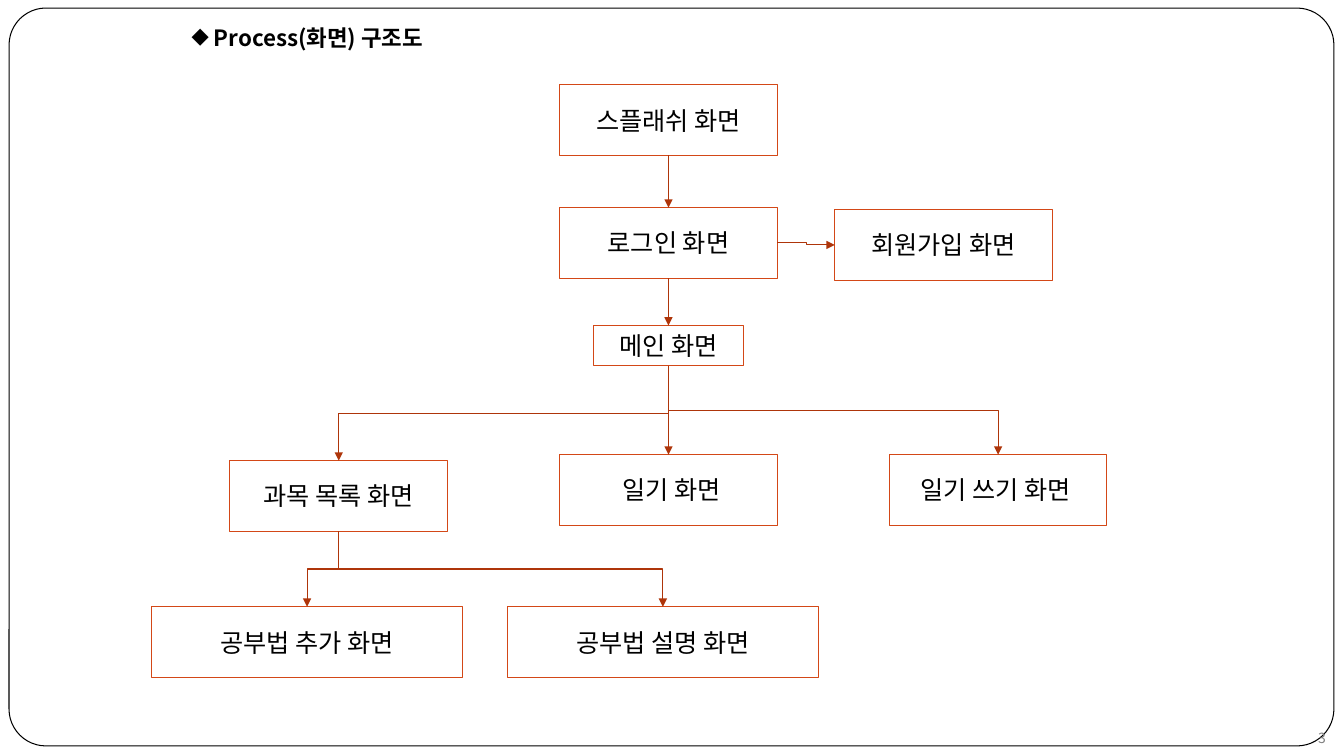
"""Build the screen structure slide of the app."""
from dataclasses import dataclass

from lxml import etree
from pptx import Presentation
from pptx.dml.color import RGBColor
from pptx.enum.shapes import MSO_CONNECTOR, MSO_SHAPE
from pptx.enum.text import MSO_ANCHOR, MSO_AUTO_SIZE, PP_ALIGN
from pptx.oxml.ns import qn
from pptx.util import Inches, Pt

ELBOW = MSO_CONNECTOR.ELBOW
RECTANGLE, ROUNDED = MSO_SHAPE.RECTANGLE, MSO_SHAPE.ROUNDED_RECTANGLE
LEFT, CENTER, RIGHT = PP_ALIGN.LEFT, PP_ALIGN.CENTER, PP_ALIGN.RIGHT
MIDDLE, NO_FIT = MSO_ANCHOR.MIDDLE, MSO_AUTO_SIZE.NONE
TOP_SITE, LEFT_SITE, BOTTOM_SITE, RIGHT_SITE = range(4)
DEGREE = 60000


@dataclass(frozen=True)
class Theme:
    ink: str = "000000"
    box_line: str = "D34817"
    arrow: str = "AE350A"
    number: str = "7F7F7F"
    latin_font: str = "TeX Gyre Pagella"
    korean_font: str = "Noto Sans CJK KR"
    title_size: int = 16
    box_size: int = 18
    number_size: int = 10
    line_width: float = 0.75


class SlideBuilder:
    def __init__(self, slide, theme):
        self.slide = slide
        self.theme = theme

    def add_text(self, shape, text, size, color, font, align, bold=False):
        frame = shape.text_frame
        frame.word_wrap = True
        frame.auto_size = NO_FIT
        frame.vertical_anchor = MIDDLE
        paragraph = frame.paragraphs[0]
        paragraph.alignment = align
        run = paragraph.add_run()
        run.text = text
        run.font.name = font
        run.font.size = Pt(size)
        run.font.bold = bold
        run.font.color.rgb = RGBColor.from_string(color)
        east_asian = etree.SubElement(run.font._element, qn("a:ea"))
        east_asian.set("typeface", self.theme.korean_font)
        return paragraph

    def place(self, shape, left, top, width, height):
        shape.left, shape.top = Inches(left), Inches(top)
        shape.width, shape.height = Inches(width), Inches(height)

    def title(self, text, *area):
        shape = self.slide.shapes.title
        self.place(shape, *area)
        shape.text_frame.margin_bottom = Inches(0.1)
        paragraph = self.add_text(shape, text, self.theme.title_size, self.theme.ink,
                                  self.theme.korean_font, LEFT, bold=True)
        properties = paragraph._p.get_or_add_pPr()
        properties.set("marL", "0")
        properties.set("indent", str(Inches(-0.11)))
        color = etree.SubElement(properties, qn("a:buClr"))
        etree.SubElement(color, qn("a:srgbClr")).set("val", self.theme.ink)
        etree.SubElement(properties, qn("a:buChar")).set("char", "◆")

    def outline(self, kind, color, *area):
        shape = self.slide.shapes.add_shape(kind, *map(Inches, area))
        shape.shadow.inherit = False
        shape.fill.background()
        shape.line.color.rgb = RGBColor.from_string(color)
        shape.line.width = Pt(self.theme.line_width)
        return shape

    def frame(self, *area):
        self.outline(ROUNDED, self.theme.ink, *area).adjustments[0] = 0.05

    def box(self, text, *area):
        shape = self.outline(RECTANGLE, self.theme.box_line, *area)
        self.add_text(shape, text, self.theme.box_size, self.theme.ink,
                      self.theme.latin_font, CENTER)
        return shape

    def page_number(self, text, *area):
        shape = self.slide.shapes.add_textbox(*map(Inches, area))
        self.add_text(shape, text, self.theme.number_size, self.theme.number,
                      self.theme.korean_font, RIGHT)

    def arrow(self, source, target, source_site, target_site):
        connector = self.slide.shapes.add_connector(ELBOW, 0, 0, 0, 0)
        connector.begin_connect(source, source_site)
        connector.end_connect(target, target_site)
        connector.line.color.rgb = RGBColor.from_string(self.theme.arrow)
        connector.line.width = Pt(self.theme.line_width)
        etree.SubElement(connector.line._get_or_add_ln(), qn("a:tailEnd")).set("type", "triangle")
        etree.SubElement(connector._element.spPr, qn("a:effectLst"))
        return connector

    def arrow_right(self, source, target):
        self.arrow(source, target, RIGHT_SITE, LEFT_SITE)

    def arrow_down(self, source, target):
        connector = self.arrow(source, target, BOTTOM_SITE, TOP_SITE)
        start_x, start_y = connector.begin_x, connector.begin_y
        end_x, end_y = connector.end_x, connector.end_y
        across, down = abs(end_x - start_x), end_y - start_y
        connector.left = (start_x + end_x - down) // 2
        connector.top = (start_y + end_y - across) // 2
        connector.width, connector.height = down, across
        rightward = end_x > start_x
        transform = connector._element.spPr.find(qn("a:xfrm"))
        transform.set("rot", str((270 if rightward else 90) * DEGREE))
        transform.set("flipH", "1" if rightward else "0")


def main():
    presentation = Presentation()
    presentation.slide_width = Inches(13.33)
    presentation.slide_height = Inches(7.5)
    slide = presentation.slides.add_slide(presentation.slide_layouts[5])
    builder = SlideBuilder(slide, Theme())

    builder.frame(0.09, 0.08, 13.14, 7.32)
    builder.page_number("3", 12.78, 7.19, 0.47, 0.26)
    builder.title(" Process(화면) 구조도", 1.8, 0.25, 5.91, 0.3)

    normal, wide = (2.16, 0.7), (3.09, 0.7)
    column = 5.55
    splash = builder.box("스플래쉬 화면", column, 0.84, *normal)
    login = builder.box("로그인 화면", column, 2.06, *normal)
    sign_up = builder.box("회원가입 화면", 8.28, 2.08, *normal)
    main_screen = builder.box("메인 화면", 5.89, 3.23, 1.48, 0.4)
    subjects = builder.box("과목 목록 화면", column - 3.27, 4.57, *normal)
    diary = builder.box(" 일기 화면", column, 4.51, *normal)
    diary_writing = builder.box("일기 쓰기 화면 ", column + 3.27, 4.51, *normal)
    add_method = builder.box("공부법 추가 화면", 1.5, 6.02, *wide)
    explain_method = builder.box("공부법 설명 화면", 5.03, 6.02, *wide)

    builder.arrow_right(login, sign_up)
    for source, targets in (
        (splash, [login]),
        (login, [main_screen]),
        (main_screen, [subjects, diary, diary_writing]),
        (subjects, [add_method, explain_method]),
    ):
        for target in targets:
            builder.arrow_down(source, target)

    presentation.save("out.pptx")


if __name__ == "__main__":
    main()
